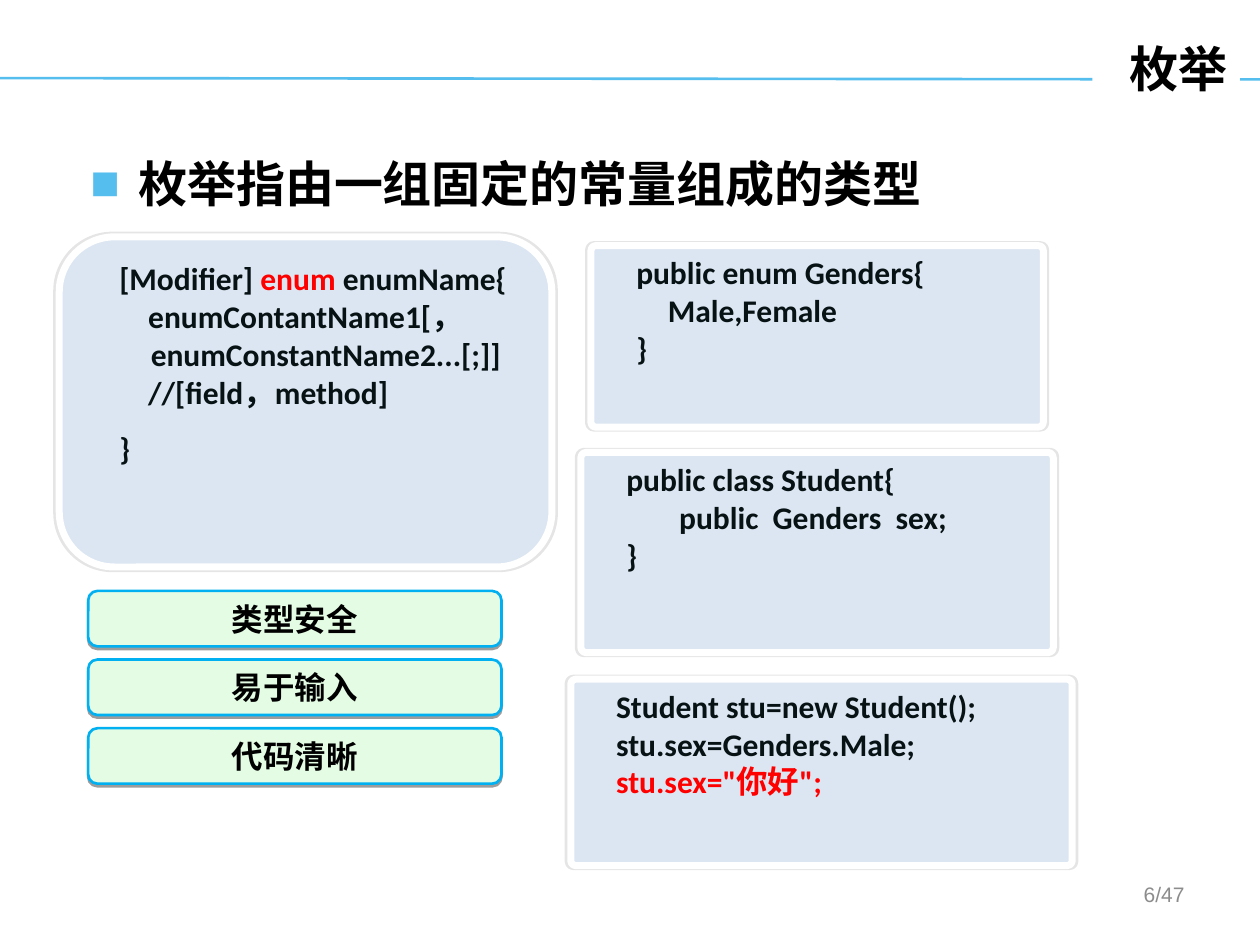
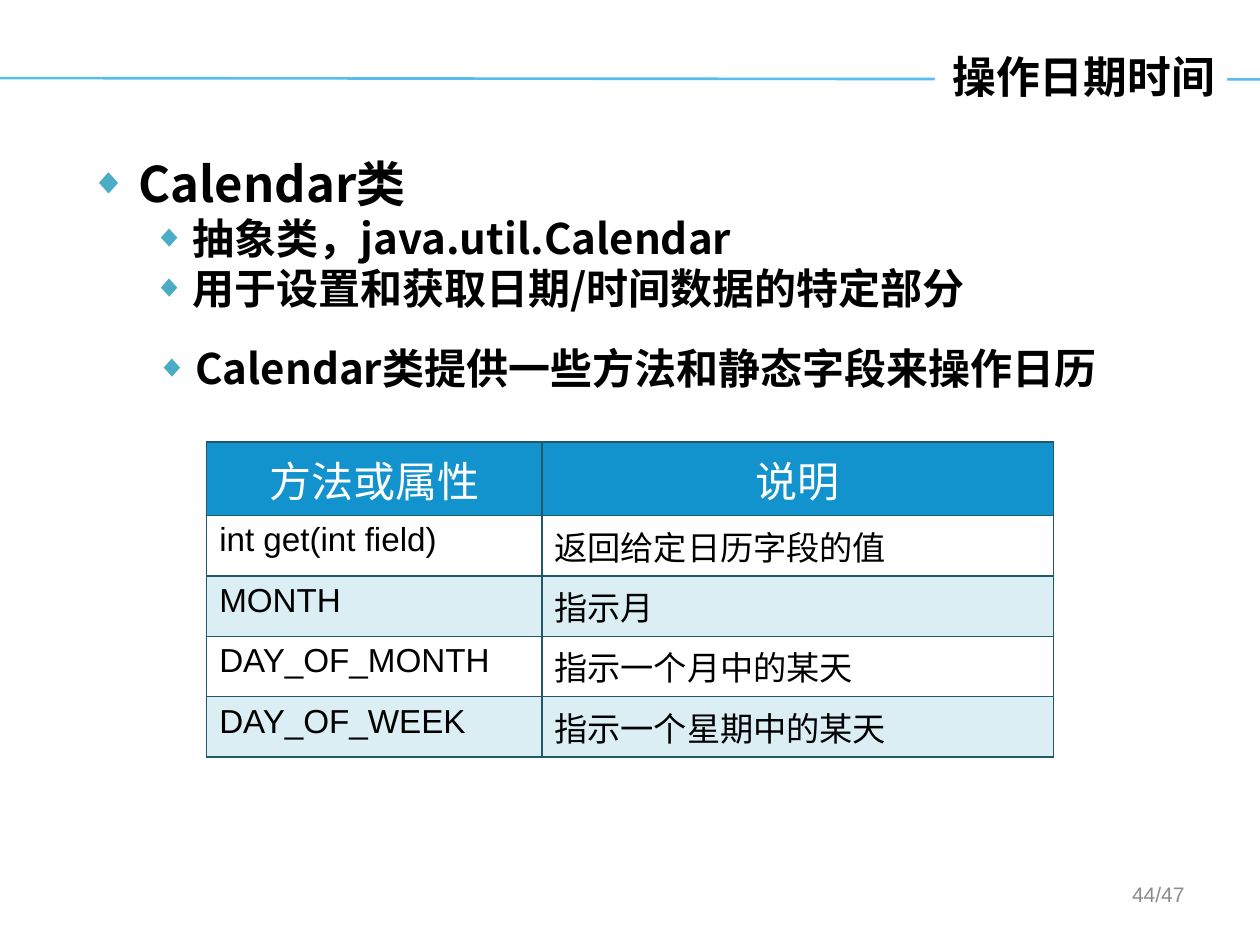
from lxml import etree
from pptx import Presentation
from pptx import util as u
from pptx.dml.color import RGBColor
from pptx.enum import shapes, text
from pptx.oxml.ns import qn

HUES = dict(rule="56BEEE", teal="4BACC6", ink="071215", black="000000",
            red="FF0000", white="FFFFFF", pale="DCE6F2", mint="E4FCE4",
            cyan="00B0F0", grey="8C8C8C", head="1293CD", band="DBEEF4",
            edge="215968")
HAN, CODE, SANS = "Noto Sans CJK SC", "Calibri", "Arial"
WIDE, HIGH = 10, 7.5
L, C, R, J = (text.PP_ALIGN.LEFT, text.PP_ALIGN.CENTER,
              text.PP_ALIGN.RIGHT, text.PP_ALIGN.JUSTIFY)

ENUM = dict(title="枚举", spot=(8.67, 0.23, 1.17, 0.62), size=28, page="6/47")
DATE = dict(title="操作日期时间", spot=(7.42, 0.29, 2.32, 0.62), size=25,
            page="44/47")

POINT = "枚举指由一组固定的常量组成的类型"
# Each code line: its runs as (text, hue), left margin, first-line indent
BASE = (0.5, -0.25)
CARDS = [
    ((0.47, 1.88, 3.91, 2.62), 0.167, [
        ([("[Modifier] ", "ink"), ("enum ", "red"), ("enumName{", "ink")], BASE),
        ([("enumContantName1[，enumConstantName2...[;]]", "ink")], (0.5, -0.02)),
        ([("//[field，method]", "ink")], (0.5, -0.02)),
        ([("}", "ink")], BASE)]),
    ((4.69, 1.95, 3.59, 1.44), 0.027, [
        ([("public enum Genders{", "ink")], BASE),
        ([("Male,Female", "ink")], (0.5, 0)),
        ([("}", "ink")], BASE)]),
    ((4.61, 3.59, 3.75, 1.59), 0.027, [
        ([("public class Student{", "ink")], BASE),
        ([("public  Genders  sex;", "ink")], (0.67, 0)),
        ([("}", "ink")], BASE)]),
    ((4.53, 5.39, 3.98, 1.48), 0.027, [
        ([("Student stu=new Student();", "ink")], BASE),
        ([("stu.sex=Genders.Male;", "ink")], BASE),
        ([('stu.sex="你好";', "red")], BASE)]),
]
GAINS = ["类型安全", "易于输入", "代码清晰"]
GAIN_TOP, GAIN_STEP = 4.69, 0.545

TOPIC = "Calendar类"
FACTS = ["抽象类，java.util.Calendar", "用于设置和获取日期/时间数据的特定部分"]
LAST = "Calendar类提供一些方法和静态字段来操作日历"
GRID = [
    ("方法或属性", "说明"),
    ("int get(int field)", "返回给定日历字段的值"),
    ("MONTH", "指示月"),
    ("DAY_OF_MONTH", "指示一个月中的某天"),
    ("DAY_OF_WEEK", "指示一个星期中的某天"),
]
COLS, HEAD_H, ROW_H = (2.66, 4.06), 0.58, 0.48


def hue(name):
    return RGBColor.from_string(HUES[name])


def inch(spot):
    return [u.Inches(n) for n in spot]


def sub(node, tag, **attrs):
    return etree.SubElement(node, qn(tag), attrs)


def tint(node, name):
    return sub(sub(node, "a:solidFill"), "a:srgbClr", val=HUES[name])


def write(frame, words, *, size, font=HAN, color="black", bold=True, align=L,
          indent=None, pitch=None, mark=None, first=False):
    """Add a paragraph; words is a string or a list of (text, hue) runs."""
    para = frame.paragraphs[0] if first else frame.add_paragraph()
    para.alignment = align
    para.space_before = u.Pt(0)
    if pitch:
        para.line_spacing = u.Pt(pitch)
    props = para._p.get_or_add_pPr()
    if indent:
        props.set("marL", str(u.Inches(indent[0])))
        props.set("indent", str(u.Inches(indent[1])))
    if mark:
        sign, shade, share = mark
        sub(sub(props, "a:buClr"), "a:srgbClr", val=HUES[shade])
        sub(props, "a:buSzPct", val=str(share * 1000))
        sub(props, "a:buFont", typeface=SANS)
        sub(props, "a:buChar", char=sign)
    for part, shade in [(words, color)] if isinstance(words, str) else words:
        run = para.add_run()
        run.text = part
        run.font.size, run.font.bold = u.Pt(size), bold
        run.font.name = font
        run.font.color.rgb = hue(shade)
        sub(run._r.get_or_add_rPr(), "a:ea", typeface=HAN)


def box(slide, spot):
    frame = slide.shapes.add_textbox(*inch(spot)).text_frame
    frame.word_wrap = True
    return frame


def panel(slide, spot, bend, fill, line, weight, alpha, **shade):
    """Add a rounded panel with a hard shadow and return its text frame."""
    form = slide.shapes.add_shape(shapes.MSO_SHAPE.ROUNDED_RECTANGLE, *inch(spot))
    form.adjustments[0] = bend
    form.fill.solid()
    form.fill.fore_color.rgb = hue(fill)
    form.line.color.rgb = hue(line)
    form.line.width = u.Pt(weight)
    form.shadow.inherit = False
    cast = sub(form._element.spPr.find(qn("a:effectLst")), "a:outerShdw",
               rotWithShape="0", **shade)
    sub(sub(cast, "a:srgbClr", val=HUES["black"]), "a:alpha", val=str(alpha * 1000))
    form.text_frame.word_wrap = True
    return form.text_frame


def start(deck, info):
    """Add a slide with the rule, the title over it and the page number."""
    slide = deck.slides.add_slide(deck.slide_layouts[5])
    rule = slide.shapes.add_connector(shapes.MSO_CONNECTOR.STRAIGHT,
                                      *inch((0, 0.62, WIDE, 0.63)))
    rule.line.color.rgb = hue("rule")
    rule.line.width = u.Pt(1.5)
    sub(rule._element.spPr, "a:effectLst")
    slide.shapes._spTree.insert(2, rule._element)
    title = slide.shapes.title
    title.left, title.top, title.width, title.height = inch(info["spot"])
    title.fill.solid()
    title.fill.fore_color.rgb = hue("white")
    frame = title.text_frame
    frame.auto_size = text.MSO_AUTO_SIZE.NONE
    frame.vertical_anchor = text.MSO_ANCHOR.MIDDLE
    write(frame, info["title"], size=info["size"], align=R, first=True)
    write(box(slide, (7.17, 6.95, 2.33, 0.4)), info["page"], size=12, font=SANS,
          color="grey", bold=False, align=R, first=True)
    return slide


def enums(deck):
    slide = start(deck, ENUM)
    write(box(slide, (0.62, 1.17, 8.83, 0.7)), POINT, size=28,
          indent=(0.38, -0.38), mark=("■", "rule", 100), first=True)
    for spot, bend, lines in CARDS:
        frame = panel(slide, spot, bend, "pale", "white", 4, 9,
                      sx="101000", sy="101000", algn="ctr")
        frame.vertical_anchor = text.MSO_ANCHOR.TOP
        for n, (runs, indent) in enumerate(lines):
            write(frame, runs, size=18, font=CODE, indent=indent,
                  pitch=32.5 if n == 3 else 21.6, first=n == 0)
    for n, gain in enumerate(GAINS):
        frame = panel(slide, (0.7, GAIN_TOP + n * GAIN_STEP, 3.28, 0.44), 0.167,
                      "mint", "cyan", 1.5, 39, dist=str(u.Pt(1.5)), dir="5400000")
        frame.vertical_anchor = text.MSO_ANCHOR.MIDDLE
        write(frame, gain, size=18, font=CODE, align=C, first=True)


def frame_cell(cell, fill):
    cell.fill.solid()
    cell.fill.fore_color.rgb = hue(fill)
    props = cell._tc.get_or_add_tcPr()
    for n, side in enumerate(("a:lnL", "a:lnR", "a:lnT", "a:lnB")):
        edge = etree.Element(qn(side), w=str(u.Pt(1)))
        tint(edge, "edge")
        props.insert(n, edge)


def dates(deck):
    slide = start(deck, DATE)
    look = dict(align=J, mark=("◆", "teal", 75))
    deep = dict(look, size=24, indent=(0.81, -0.31))
    frame = box(slide, (0.62, 1.17, 8.83, 1.6))
    write(frame, TOPIC, size=28, indent=(0.38, -0.38), first=True, **look)
    for fact in FACTS:
        write(frame, fact, **deep)
    write(box(slide, (0.64, 2.67, 8.35, 0.6)), LAST, first=True, **deep)

    tall = HEAD_H + ROW_H * (len(GRID) - 1)
    table = slide.shapes.add_table(len(GRID), len(COLS),
                                   *inch((1.64, 3.51, sum(COLS), tall))).table
    for col, width in zip(table.columns, COLS):
        col.width = u.Inches(width)
    for r, row in enumerate(GRID):
        table.rows[r].height = u.Inches(ROW_H if r else HEAD_H)
        for c, words in enumerate(row):
            cell = table.cell(r, c)
            if r:
                frame_cell(cell, "white" if r % 2 else "band")
                look = dict(size=19, font=SANS)
            else:
                frame_cell(cell, "head")
                cell.vertical_anchor = text.MSO_ANCHOR.MIDDLE
                look = dict(size=24, color="white", align=C)
            write(cell.text_frame, words, bold=False, first=True, **look)


def main():
    deck = Presentation()
    deck.slide_width, deck.slide_height = inch((WIDE, HIGH))
    enums(deck)
    dates(deck)
    deck.save("out.pptx")


if __name__ == "__main__":
    main()
